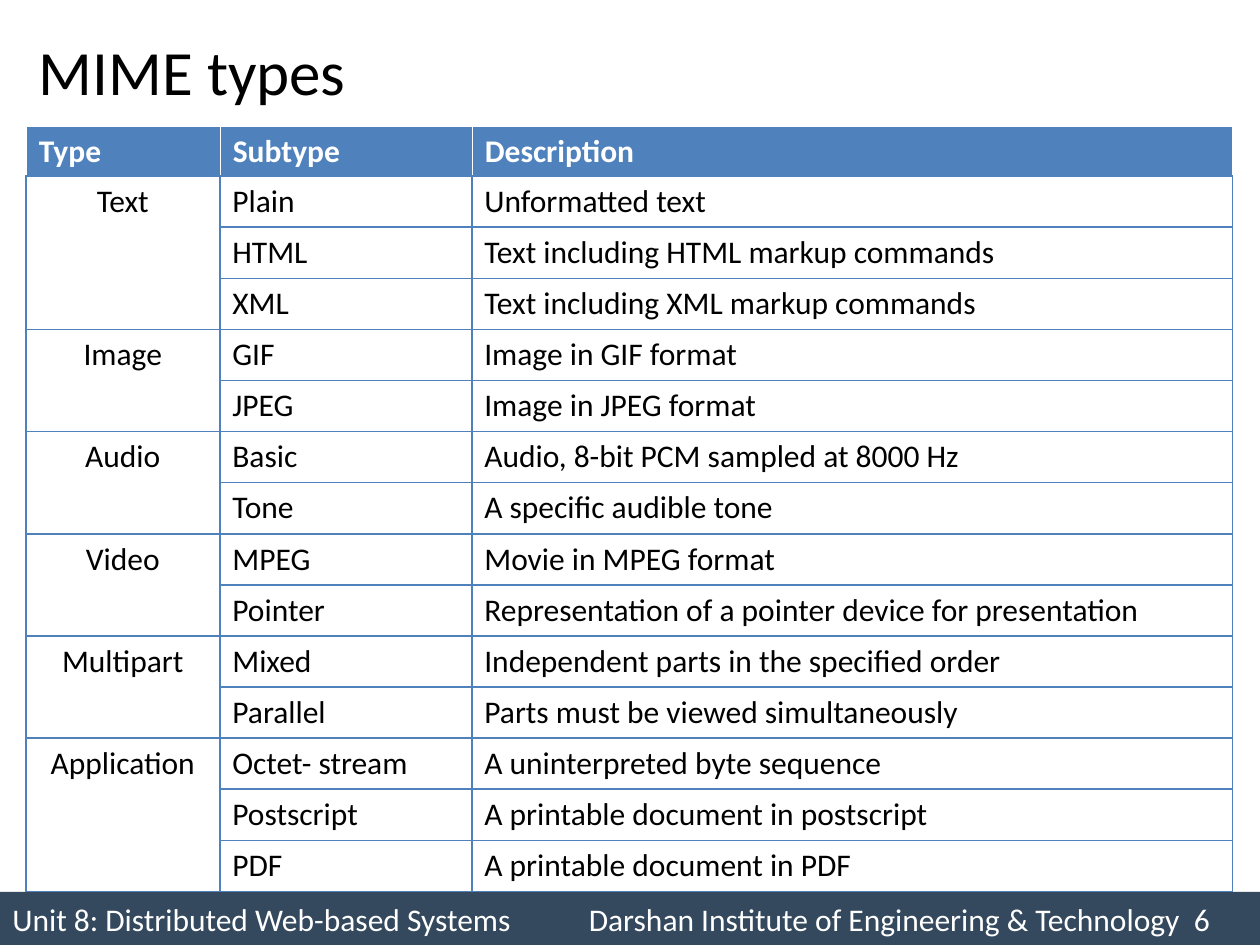
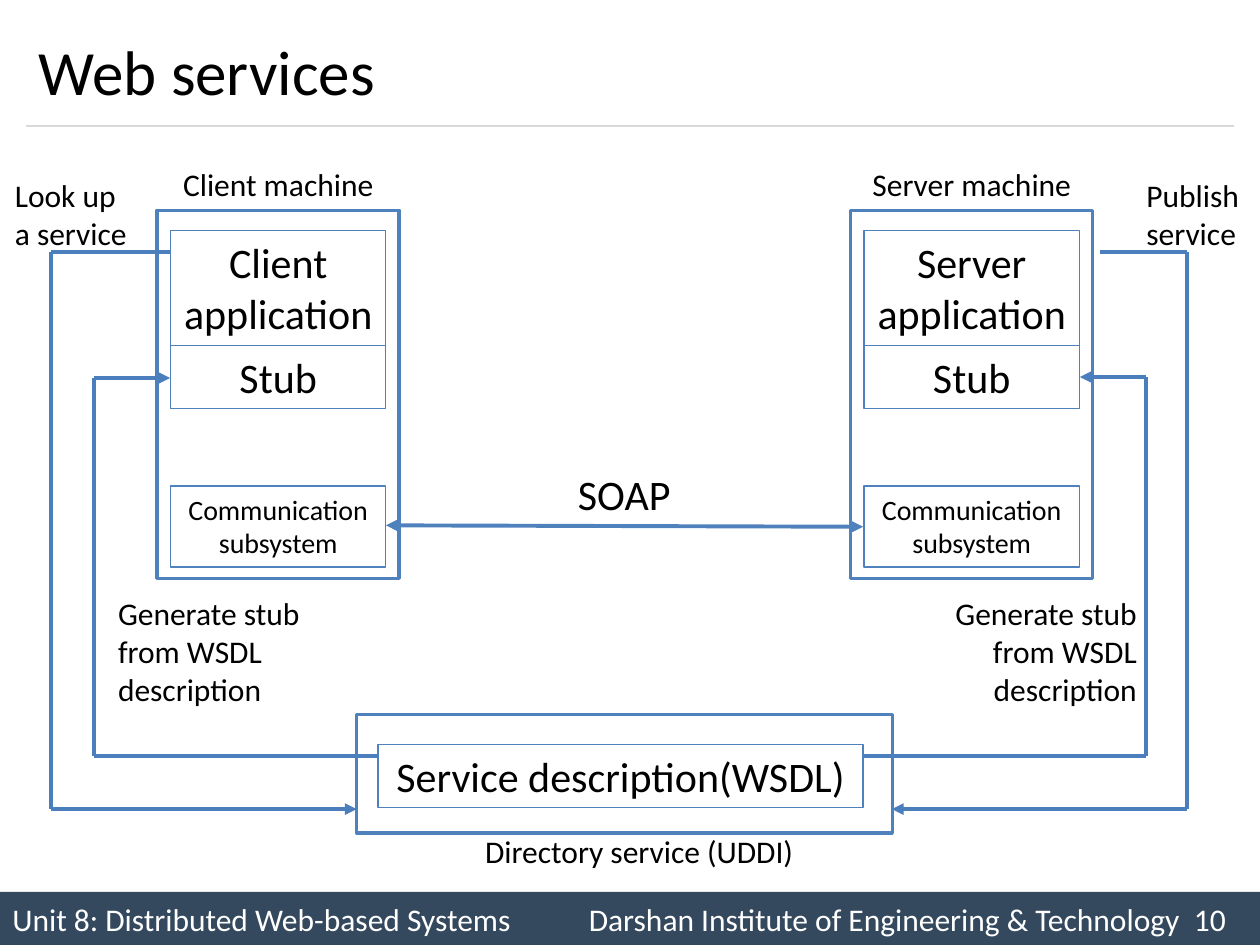
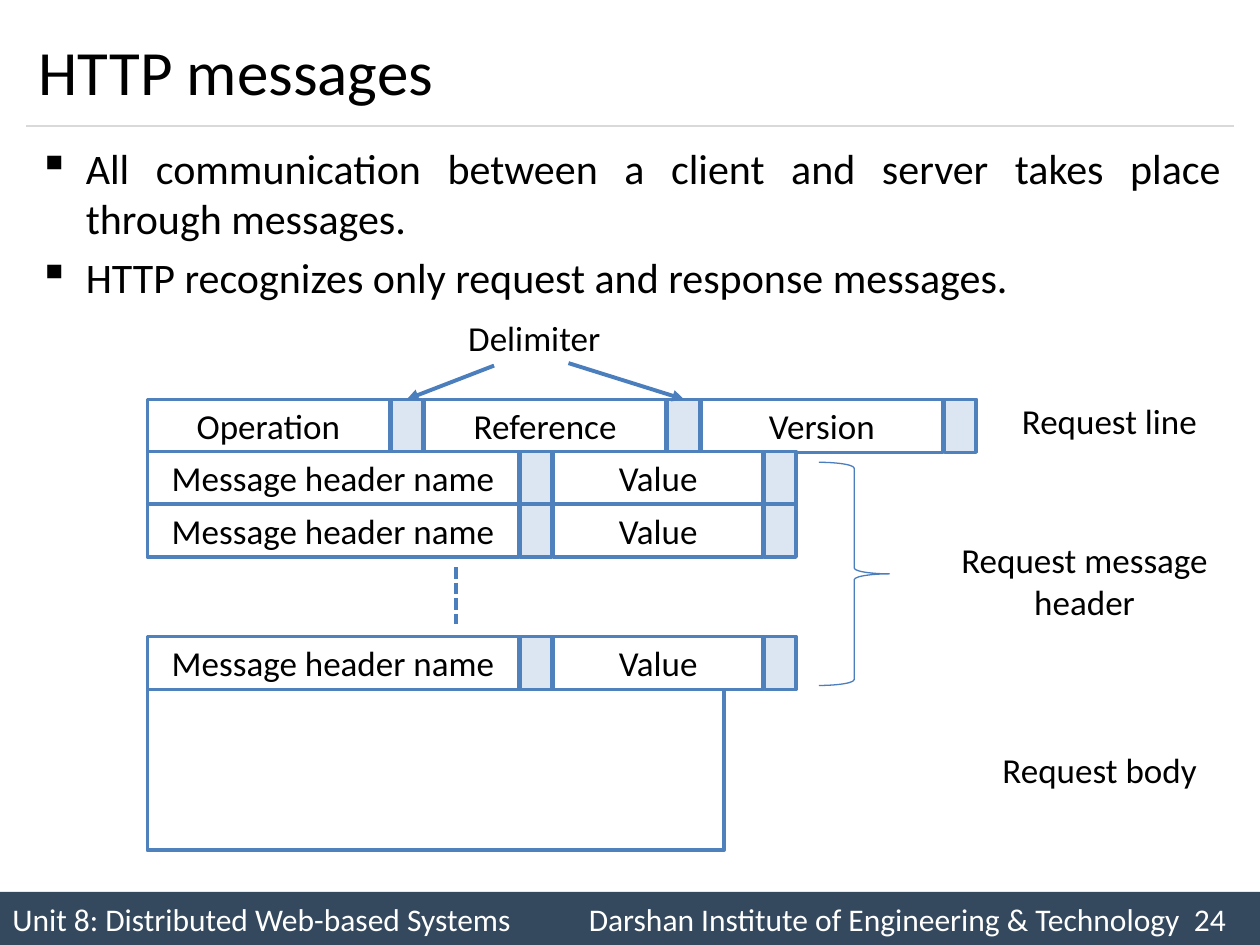
from itertools import pairwise

from pptx import Presentation
from pptx.dml.color import RGBColor
from pptx.enum.dml import MSO_LINE
from pptx.enum.shapes import MSO_CONNECTOR, MSO_SHAPE as SHAPE
from pptx.enum.text import MSO_ANCHOR as ANCHOR, PP_ALIGN as ALIGN
from pptx.oxml.ns import qn
from pptx.oxml.xmlchemy import OxmlElement
from pptx.util import Cm, Pt

FONT = "Calibri"
BLACK, WHITE = "000000", "FFFFFF"
BLUE, ARROW_BLUE, PALE_BLUE = "4F81BD", "4B7EBC", "DCE6F2"
NAVY, GREY = "34495E", "D9D9D9"

COLUMN_WIDTHS = (3.91, 5.08, 15.34)
ROW_HEIGHT = 1.03
FIELD_HEIGHT, DELIMITER_WIDTH, FIELD_GAP = 1.07, 0.64, 0.03

MIME_TYPES = {
    "Text": [
        ("Plain", "Unformatted text"),
        ("HTML", "Text including HTML markup commands"),
        ("XML", "Text including XML markup commands"),
    ],
    "Image": [("GIF", "Image in GIF format"), ("JPEG", "Image in JPEG format")],
    "Audio": [
        ("Basic", "Audio, 8-bit PCM sampled at 8000 Hz"),
        ("Tone", "A specific audible tone"),
    ],
    "Video": [
        ("MPEG", "Movie in MPEG format"),
        ("Pointer", "Representation of a pointer device for presentation"),
    ],
    "Multipart": [
        ("Mixed", "Independent parts in the specified order"),
        ("Parallel", "Parts must be viewed simultaneously"),
    ],
    "Application": [
        ("Octet- stream", "A uninterpreted byte sequence"),
        ("Postscript", "A printable document in postscript"),
        ("PDF", "A printable document in PDF"),
    ],
}


def rgb(value):
    """Turn a hex string into a colour."""
    return RGBColor.from_string(value)


def add_element(parent, tag, **attributes):
    """Append an XML element with attributes and return it."""
    element = OxmlElement(tag)
    for name, value in attributes.items():
        element.set(name, str(value))
    parent.append(element)
    return element


def write_text(frame, text, size=18, color=BLACK, bold=False, align=ALIGN.LEFT,
               anchor=ANCHOR.TOP, wrap=True, bullet=None, space=0, tabs=()):
    """Fill a text frame with one paragraph for each line of text."""
    frame.word_wrap = wrap
    frame.vertical_anchor = anchor
    for index, line in enumerate(text.split("\n")):
        paragraph = frame.add_paragraph() if index else frame.paragraphs[0]
        properties = paragraph._p.get_or_add_pPr()
        if bullet:
            properties.set("marL", str(Cm(0.95)))
            properties.set("indent", str(Cm(-0.95)))
            add_element(properties, "a:buChar", char=bullet)
        if tabs:
            tab_list = add_element(properties, "a:tabLst")
            for position in tabs:
                add_element(tab_list, "a:tab", pos=Cm(position), algn="l")
        paragraph.alignment = align
        paragraph.space_before = Pt(space if index else 0)
        run = paragraph.add_run()
        run.text = line
        run.font.name, run.font.size, run.font.bold = FONT, Pt(size), bold
        run.font.color.rgb = rgb(color)


def add_label(slide, box, text, **text_format):
    """Add a text box."""
    label = slide.shapes.add_textbox(*map(Cm, box))
    write_text(label.text_frame, text, **{"wrap": False, **text_format})


def add_box(slide, box, text="", fill=None, line=BLUE, width=2.0,
            kind=SHAPE.RECTANGLE, **text_format):
    """Add a preset shape, with centred text if there is any."""
    shape = slide.shapes.add_shape(kind, *map(Cm, box))
    shape.shadow.inherit = False
    if fill:
        shape.fill.solid()
        shape.fill.fore_color.rgb = rgb(fill)
    else:
        shape.fill.background()
    if line:
        shape.line.color.rgb = rgb(line)
        shape.line.width = Pt(width)
    else:
        shape.line.fill.background()
    if text:
        write_text(shape.text_frame, text, **{"align": ALIGN.CENTER, **text_format})


def add_line(slide, start, end, color=ARROW_BLUE, width=2.25, dash=None, arrows=()):
    """Add a straight line with arrowheads at the named ends."""
    connector = slide.shapes.add_connector(MSO_CONNECTOR.STRAIGHT, *map(Cm, start + end))
    connector.line.color.rgb = rgb(color)
    connector.line.width = Pt(width)
    if dash:
        connector.line.dash_style = dash
    properties = connector._element.spPr
    for arrow in arrows:
        add_element(properties.find(qn("a:ln")), f"a:{arrow}End", type="triangle")
    add_element(properties, "a:effectLst")


def add_route(slide, *points):
    """Join points with lines and end in an arrowhead."""
    for start, end in pairwise(points):
        add_line(slide, start, end, arrows=("tail",) if end == points[-1] else ())


def add_base_slide(presentation, title, number):
    """Add a slide with the shared footer, rule and title."""
    slide = presentation.slides.add_slide(presentation.slide_layouts[6])
    footer = ("Unit 8: Distributed Web-based Systems\t"
              f"Darshan Institute of Engineering & Technology\t{number}")
    add_box(slide, (0, 17.98, 25.4, 1.07), footer, fill=NAVY, line=None, color=WHITE,
            align=ALIGN.LEFT, anchor=ANCHOR.MIDDLE, tabs=(11.62, 23.82))
    add_line(slide, (0.53, 2.54), (24.87, 2.54), color=GREY, width=0.75)
    add_label(slide, (0.53, 0.3, 24.34, 2.24), title, size=36,
              anchor=ANCHOR.MIDDLE, wrap=True)
    return slide


def set_borders(cell, color):
    """Draw a thin border on every side of a cell."""
    properties = cell._tc.get_or_add_tcPr()
    for side in "LRTB":
        line = add_element(properties, f"a:ln{side}", w=Pt(1))
        add_element(add_element(line, "a:solidFill"), "a:srgbClr", val=color)


def add_type_table(slide, left, top, rows, header=False):
    """Add one block of rows whose first column is merged downwards."""
    table = slide.shapes.add_table(
        len(rows), len(COLUMN_WIDTHS), Cm(left), Cm(top),
        Cm(sum(COLUMN_WIDTHS)), Cm(ROW_HEIGHT * len(rows))).table
    table.first_row = table.horz_banding = False
    for column, width in zip(table.columns, COLUMN_WIDTHS):
        column.width = Cm(width)
    for row_index, row in enumerate(rows):
        table.rows[row_index].height = Cm(ROW_HEIGHT)
        for column_index, text in enumerate(row):
            cell = table.cell(row_index, column_index)
            set_borders(cell, WHITE if header else BLUE)
            if header:
                cell.fill.solid()
                cell.fill.fore_color.rgb = rgb(BLUE)
            else:
                cell.fill.background()
            if text:
                centred = column_index == 0 and not header
                write_text(cell.text_frame, text, bold=header,
                           color=WHITE if header else BLACK,
                           align=ALIGN.CENTER if centred else ALIGN.LEFT)
    if len(rows) > 1:
        table.cell(0, 0).merge(table.cell(len(rows) - 1, 0))


def add_mime_slide(presentation):
    """Build the slide that lists the MIME types."""
    slide = add_base_slide(presentation, "MIME types", 6)
    add_type_table(slide, 0.53, 2.54, [("Type", "Subtype", "Description")], header=True)
    top = 3.55
    for name, subtypes in MIME_TYPES.items():
        rows = [("" if index else name, *row) for index, row in enumerate(subtypes)]
        add_type_table(slide, 0.52, top, rows)
        top += ROW_HEIGHT * len(rows)


def add_machine(slide, left, top, role):
    """Draw a machine with its application, stub and communication parts."""
    add_box(slide, (left, top, 4.88, 7.42), fill=WHITE)
    parts = [
        (0.41, 2.31, f"{role}\napplication", 24),
        (2.72, 1.27, "Stub", 24),
        (5.56, 1.63, "Communication\nsubsystem", 16),
    ]
    for offset, height, text, size in parts:
        add_box(slide, (left + 0.27, top + offset, 4.34, height), text,
                width=0.75, size=size)
    add_label(slide, (left, top - 1.03, 4.88, 1.02), f"{role} machine",
              align=ALIGN.CENTER)


def add_directory(slide, left, top):
    """Draw the directory service around its service description."""
    add_box(slide, (left, top, 10.8, 2.39), fill=WHITE)
    add_box(slide, (left + 0.43, top + 0.61, 9.78, 1.27), "Service description(WSDL)",
            width=0.75, size=24)
    add_label(slide, (left + 2.34, top + 2.24, 6.81, 1.02), "Directory service (UDDI)")


def add_services_slide(presentation):
    """Build the slide that shows how web services connect."""
    slide = add_base_slide(presentation, "Web services", 10)
    add_machine(slide, 3.17, 4.24, "Client")
    add_machine(slide, 17.15, 4.24, "Server")
    add_line(slide, (7.78, 10.59), (17.4, 10.62), color=BLUE, arrows=("head", "tail"))
    add_directory(slide, 7.19, 14.4)

    add_route(slide, (22.17, 5.08), (23.93, 5.08), (23.93, 16.31), (17.98, 16.31))
    add_route(slide, (3.43, 5.08), (1.02, 5.08), (1.02, 16.31), (7.19, 16.31))
    add_route(slide, (7.62, 15.24), (1.9, 15.24), (1.9, 7.62), (3.43, 7.62))
    add_route(slide, (17.4, 15.24), (23.11, 15.24), (23.11, 7.6), (21.77, 7.6))

    generate = "Generate stub\nfrom WSDL\ndescription"
    add_label(slide, (11.4, 9.32, 2.39, 1.27), "SOAP", size=24)
    add_label(slide, (2.13, 11.86, 4.22, 2.57), generate)
    add_label(slide, (18.95, 11.86, 4.22, 2.57), generate, align=ALIGN.RIGHT)
    add_label(slide, (0.05, 3.43, 2.84, 1.8), "Look up\na service")
    add_label(slide, (22.86, 3.43, 2.54, 1.8), "Publish\nservice")


def add_field_row(slide, left, top, fields):
    """Draw a row of message fields, each followed by a delimiter."""
    for text, width in fields:
        add_box(slide, (left, top, width, FIELD_HEIGHT), text, fill=WHITE,
                size=20, anchor=ANCHOR.MIDDLE)
        left += width + FIELD_GAP
        add_box(slide, (left, top, DELIMITER_WIDTH, FIELD_HEIGHT), fill=PALE_BLUE)
        left += DELIMITER_WIDTH + FIELD_GAP


def add_request(slide, left, top):
    """Draw the request line, message headers and body of a request."""
    add_box(slide, (left, top + 5.84, 11.63, 3.25), fill=WHITE)
    add_field_row(slide, left, top,
                  [(name, 4.88) for name in ("Operation", "Reference", "Version")])
    for offset in (1.05, 2.11, 4.78):
        add_field_row(slide, left, top + offset,
                      [("Message header name", 7.49), ("Value", 4.22)])
    add_line(slide, (left + 6.22, top + 3.38), (left + 6.22, top + 4.52),
             dash=MSO_LINE.SQUARE_DOT)
    add_box(slide, (left + 13.54, top + 1.27, 1.42, 4.5), line=ARROW_BLUE,
            width=0.75, kind=SHAPE.RIGHT_BRACE)
    add_route(slide, (left + 6.99, top - 0.68), (left + 5.23, top))
    add_route(slide, (left + 8.49, top - 0.73), (left + 10.82, top))


def add_messages_slide(presentation):
    """Build the slide that shows the parts of an HTTP request."""
    slide = add_base_slide(presentation, "HTTP messages", 24)
    add_label(slide, (0.53, 2.74, 24.34, 3.61),
              "All communication between a client and server takes place through messages.\n"
              "HTTP recognizes only request and response messages.",
              size=24, align=ALIGN.JUSTIFY, wrap=True, bullet="▪", space=4.8)
    add_request(slide, 2.97, 8.05)
    add_label(slide, (9.19, 6.25, 3.2, 1.12), "Delimiter", size=20)
    add_label(slide, (20.35, 7.92, 4.09, 1.12), "Request line", size=20)
    add_label(slide, (19.02, 10.74, 5.69, 1.96), "Request message\nheader",
              size=20, align=ALIGN.CENTER)
    add_label(slide, (19.96, 14.96, 4.47, 1.12), "Request body", size=20)


def main():
    """Build and save the presentation."""
    presentation = Presentation()
    presentation.slide_width, presentation.slide_height = Cm(25.4), Cm(19.05)
    add_mime_slide(presentation)
    add_services_slide(presentation)
    add_messages_slide(presentation)
    presentation.save("out.pptx")


if __name__ == "__main__":
    main()
